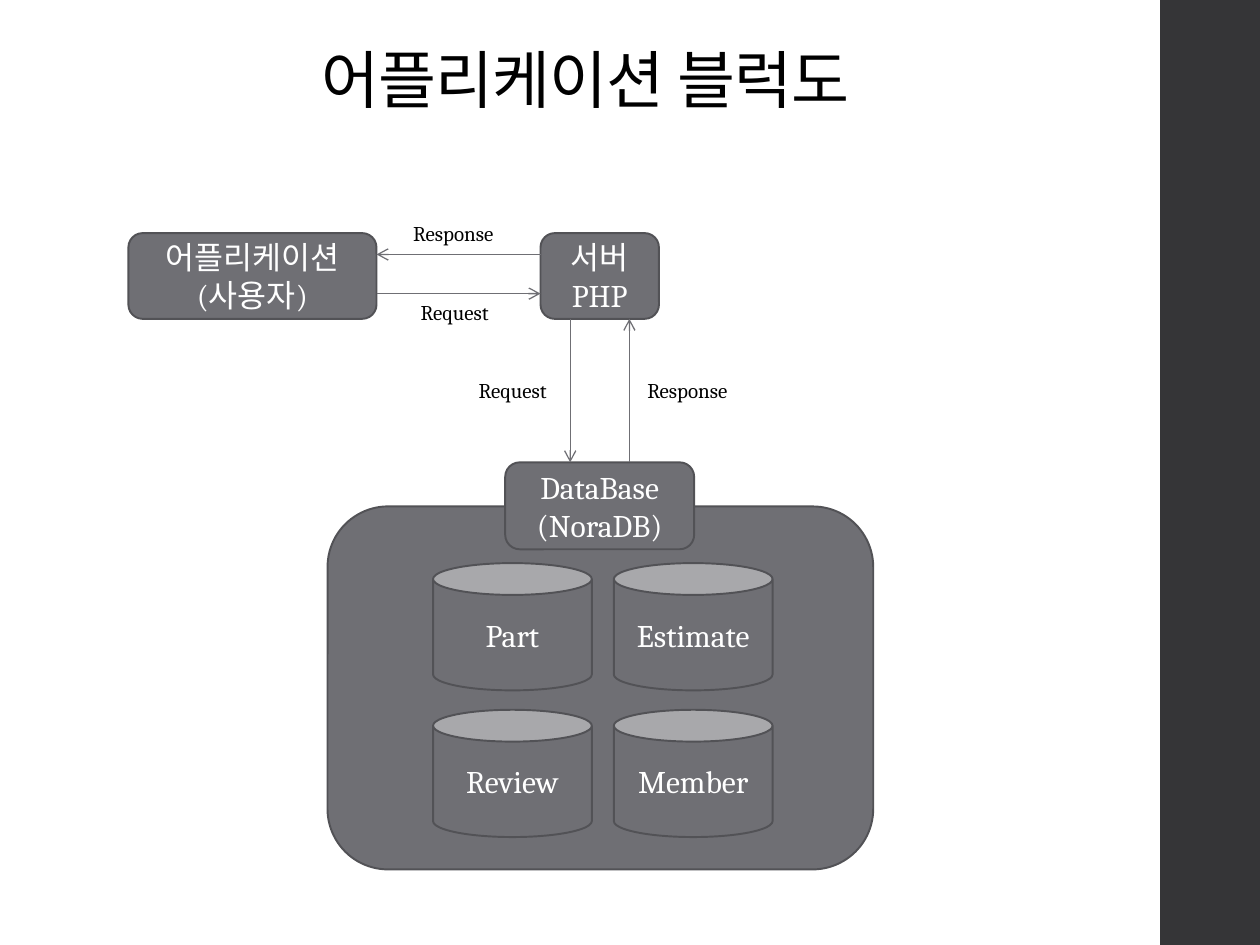
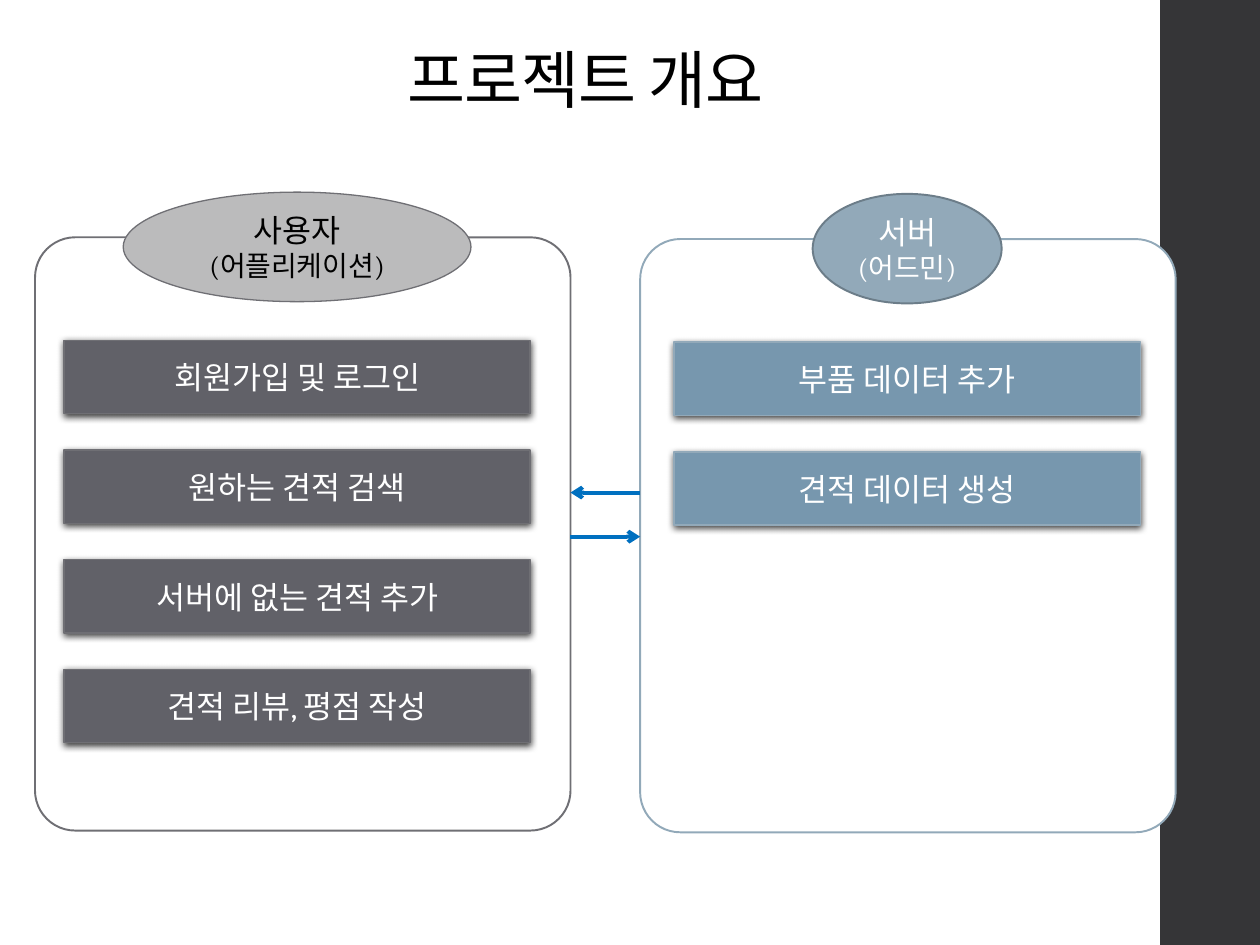
from collections import namedtuple

from lxml import etree
from pptx import Presentation
from pptx.dml.color import RGBColor
from pptx.enum import shapes, text
from pptx.oxml import ns
from pptx.util import Pt

BLACK = RGBColor(0x00, 0x00, 0x00)
WHITE = RGBColor(0xFF, 0xFF, 0xFF)
BAND = RGBColor(0x35, 0x35, 0x37)
GRAY = RGBColor(0x6F, 0x6F, 0x74)
GRAY_EDGE = RGBColor(0x52, 0x52, 0x56)
GRAY_BAR = RGBColor(0x61, 0x61, 0x68)
GRAY_LIGHT = RGBColor(0xBB, 0xBB, 0xBC)
STEEL = RGBColor(0x92, 0xA9, 0xB9)
STEEL_EDGE = RGBColor(0x6C, 0x7D, 0x89)
STEEL_BAR = RGBColor(0x77, 0x97, 0xAE)
ARROW_BLUE = RGBColor(0x00, 0x70, 0xC0)

FONT = "Cambria"
SLIDE_WIDTH, SLIDE_HEIGHT = 720, 540
BAND_LEFT = 663
SHAPE = shapes.MSO_SHAPE
CENTER = text.PP_ALIGN.CENTER

Box = namedtuple("Box", "left top width height")
Theme = namedtuple("Theme", "frame_line head_fill head_line head_weight head_text bar_fill")


def lengths(box):
    return [Pt(value) for value in box]


def add_xml(parent, tag, **attributes):
    return etree.SubElement(parent, ns.qn(tag), attributes)


def write_line(paragraph, wording, size, color, alignment=CENTER):
    paragraph.alignment = alignment
    run = paragraph.add_run()
    run.text = wording
    run.font.name = FONT
    run.font.size = Pt(size)
    run.font.color.rgb = color
    return run


def add_block(slide, kind, box, fill, line=None, weight=1.1, lines=(), sizes=(18, 18), color=WHITE):
    """Add a filled preset shape with centred lines of text."""
    shape = slide.shapes.add_shape(kind, *lengths(box))
    shape.shadow.inherit = False
    shape.fill.solid()
    shape.fill.fore_color.rgb = fill
    if line is None:
        shape.line.fill.background()
    else:
        shape.line.color.rgb = line
        shape.line.width = Pt(weight)
    frame = shape.text_frame
    frame.word_wrap = True
    frame.vertical_anchor = text.MSO_ANCHOR.MIDDLE
    for index, (wording, size) in enumerate(zip(lines, sizes)):
        paragraph = frame.add_paragraph() if index else frame.paragraphs[0]
        write_line(paragraph, wording, size, color)
    return shape


def add_drop_shadow(shape):
    effects = shape._element.spPr.find(ns.qn("a:effectLst"))
    shadow = add_xml(effects, "a:outerShdw", blurRad=str(Pt(4)), dist=str(Pt(1.2)),
                     dir="5400000", algn="ctr", rotWithShape="0")
    tint = add_xml(shadow, "a:srgbClr", val=str(BLACK))
    add_xml(tint, "a:alpha", val="75000")


def add_arrow(slide, start, end, color=GRAY, weight=0.75):
    connector = slide.shapes.add_connector(
        shapes.MSO_CONNECTOR.STRAIGHT, *lengths(start), *lengths(end))
    connector.line.color.rgb = color
    connector.line.width = Pt(weight)
    add_xml(connector.line._get_or_add_ln(), "a:tailEnd", type="arrow")
    add_xml(connector._element.spPr, "a:effectLst")


def add_label(slide, wording, left, top):
    width = 70.6 if wording == "Response" else 60.5
    frame = slide.shapes.add_textbox(*lengths((left, top, width, 21.6))).text_frame
    frame.word_wrap = False
    write_line(frame.paragraphs[0], wording, 12, BLACK, text.PP_ALIGN.LEFT)


def add_title(slide, wording):
    frame = slide.shapes.add_textbox(*lengths((36.7, 20.9, 595.5, 49.7))).text_frame
    frame.word_wrap = True
    frame.vertical_anchor = text.MSO_ANCHOR.BOTTOM
    paragraph = frame.paragraphs[0]
    paragraph.line_spacing = 0.9
    run = write_line(paragraph, wording, 36, BLACK)
    run.font._element.set("spc", "-50")


def start_slide(presentation, title):
    """Add a blank slide with the side band and the title."""
    slide = presentation.slides.add_slide(presentation.slide_layouts[6])
    band = Box(BAND_LEFT, 0, SLIDE_WIDTH - BAND_LEFT, SLIDE_HEIGHT)
    add_block(slide, SHAPE.RECTANGLE, band, BAND)
    add_title(slide, title)
    return slide


def add_node(slide, box, *lines):
    add_block(slide, SHAPE.ROUNDED_RECTANGLE, box, GRAY, GRAY_EDGE, lines=lines)


def add_database(slide, box, tables):
    """Draw the storage area, its tables in two columns and its heading."""
    add_node(slide, box)
    for index, name in enumerate(tables):
        row, column = divmod(index, 2)
        can = Box(box.left + 60.3 + column * 103.3, box.top + 32.4 + row * 83.8, 90.7, 72.7)
        add_block(slide, SHAPE.CAN, can, GRAY, GRAY_EDGE, lines=[name])
    heading = Box(box.left + 101.5, box.top - 25.2, 108, 49.7)
    add_node(slide, heading, "DataBase", "(NoraDB)")
    return heading


def add_block_diagram(presentation):
    slide = start_slide(presentation, "어플리케이션 블럭도")
    user = Box(73.4, 133.2, 141.8, 49)
    server = Box(308.9, 133.2, 67.7, 49)
    add_node(slide, user, "어플리케이션", "(사용자)")
    add_node(slide, server, "서버", "PHP")
    database = add_database(slide, Box(187.2, 289.4, 311.8, 207.4),
                            ["Part", "Estimate", "Review", "Member"])

    user_right = user.left + user.width
    upper, lower = server.top + 12.2, server.top + 34.6
    add_arrow(slide, (server.left, upper), (user_right, upper))
    add_arrow(slide, (user_right, lower), (server.left, lower))
    add_label(slide, "Response", user_right + 13.8, upper - 23)
    add_label(slide, "Request", user_right + 18.1, lower)

    server_bottom = server.top + server.height
    request_x = server.left + server.width / 4
    response_x = server.left + server.width * 3 / 4
    add_arrow(slide, (request_x, server_bottom), (request_x, database.top))
    add_arrow(slide, (response_x, database.top), (response_x, server_bottom))
    add_label(slide, "Request", request_x - 59.4, server_bottom + 30.2)
    add_label(slide, "Response", response_x + 3.1, server_bottom + 30.2)


def add_role_panel(slide, box, theme, inset, head_width, head_lines, tasks):
    """Draw a framed role with an oval heading and a stack of task bars."""
    frame = add_block(slide, SHAPE.ROUNDED_RECTANGLE, box, WHITE, theme.frame_line)
    frame.adjustments[0] = 0.075
    bar_width, bar_height, bar_step = 266.4, 41.8, 62.7
    bar_left = box.left + inset
    head = Box(bar_left + (bar_width - head_width) / 2, box.top - 25.8, head_width, 62.6)
    add_block(slide, SHAPE.OVAL, head, theme.head_fill, theme.head_line, theme.head_weight,
              head_lines, (18, 16), theme.head_text)
    for index, task in enumerate(tasks):
        bar = Box(bar_left, box.top + 58.9 + index * bar_step, bar_width, bar_height)
        add_drop_shadow(add_block(slide, SHAPE.RECTANGLE, bar, theme.bar_fill,
                                  theme.frame_line, 0.75, [task]))


def add_overview(presentation):
    slide = start_slide(presentation, "프로젝트 개요")
    user = Box(20, 135.6, 306, 339)
    server = Box(365.8, 136.6, 306, 339)
    add_role_panel(slide, server, Theme(STEEL, STEEL, STEEL_EDGE, 1.1, WHITE, STEEL_BAR),
                   19.4, 108, ["서버", "(어드민)"],
                   ["부품 데이터 추가", "견적 데이터 생성"])
    add_role_panel(slide, user, Theme(GRAY, GRAY_LIGHT, GRAY, 0.75, BLACK, GRAY_BAR),
                   16.6, 198.7, ["사용자", "(어플리케이션)"],
                   ["회원가입 및 로그인", "원하는 견적 검색",
                    "서버에 없는 견적 추가", "견적 리뷰, 평점 작성"])
    user_right = user.left + user.width
    add_arrow(slide, (server.left, 281.5), (user_right, 281.5), ARROW_BLUE, 2.25)
    add_arrow(slide, (user_right, 306.7), (server.left, 306.7), ARROW_BLUE, 2.25)


def main():
    presentation = Presentation()
    presentation.slide_width = Pt(SLIDE_WIDTH)
    presentation.slide_height = Pt(SLIDE_HEIGHT)
    add_block_diagram(presentation)
    add_overview(presentation)
    presentation.save("out.pptx")


if __name__ == "__main__":
    main()
